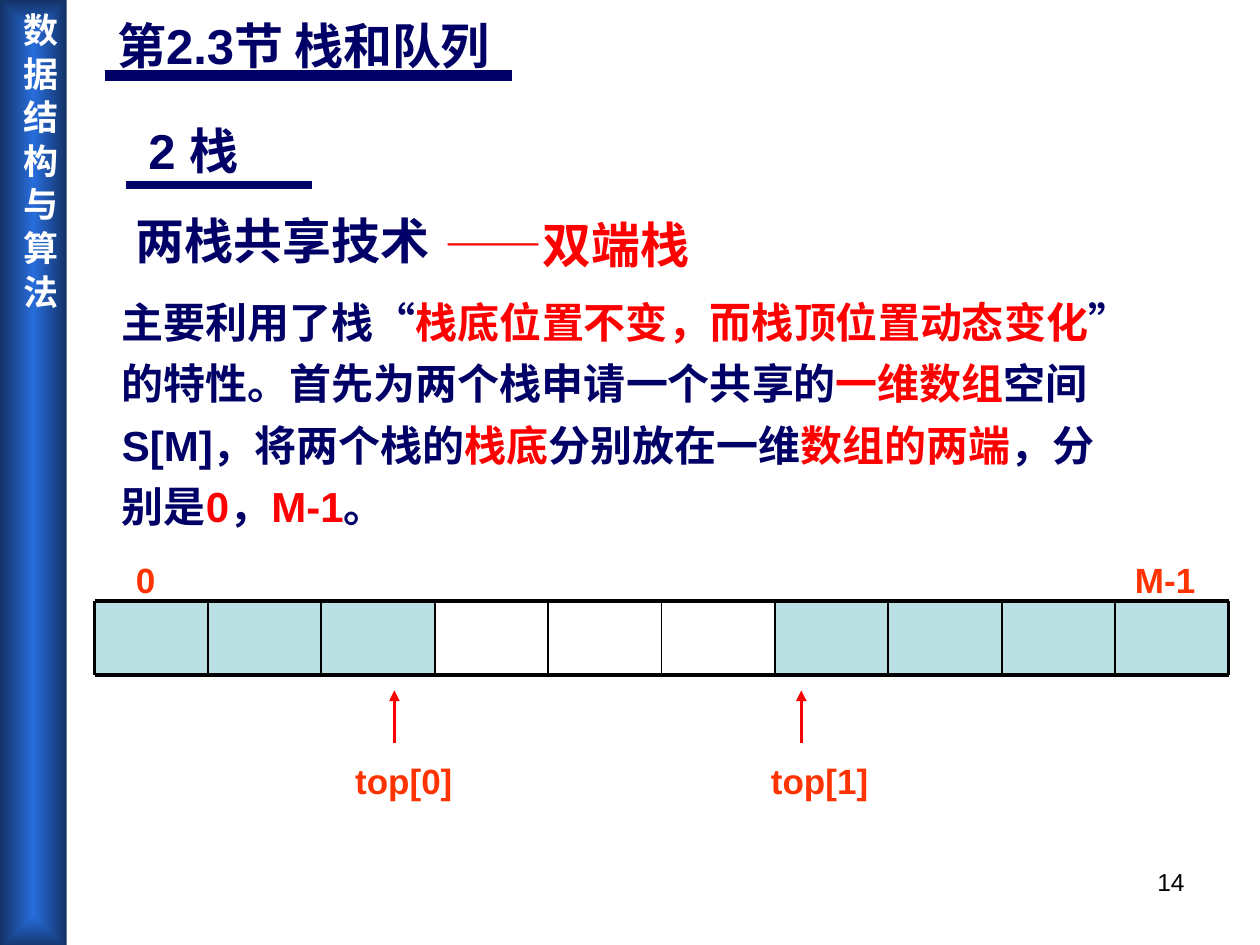
import lxml.etree
import pptx
import pptx.dml.color
import pptx.enum.shapes
import pptx.enum.text
import pptx.oxml
import pptx.oxml.ns
import pptx.util

Inches = pptx.util.Inches
Pt = pptx.util.Pt
RGBColor = pptx.dml.color.RGBColor
PP_ALIGN = pptx.enum.text.PP_ALIGN
MSO_ANCHOR = pptx.enum.text.MSO_ANCHOR
RECTANGLE = pptx.enum.shapes.MSO_SHAPE.RECTANGLE
STRAIGHT = pptx.enum.shapes.MSO_CONNECTOR.STRAIGHT
qn = pptx.oxml.ns.qn

NAVY = RGBColor(0x00, 0x00, 0x66)
RED = RGBColor(0xFF, 0x00, 0x00)
ORANGE = RGBColor(0xFF, 0x33, 0x00)
CELL_BLUE = RGBColor(0xBB, 0xE0, 0xE3)
BAR_CENTER = RGBColor(0x28, 0x6D, 0xDC)
BAR_EDGE = RGBColor(0x13, 0x32, 0x66)
BLACK = RGBColor(0x00, 0x00, 0x00)
WHITE = RGBColor(0xFF, 0xFF, 0xFF)

BODY_LINES = [
    [("主要利用了栈“", NAVY), ("栈底位置不变，而栈顶位置动态变化", RED), ("”", NAVY)],
    [("的特性。首先为两个栈申请一个共享的", NAVY), ("一维数组", RED), ("空间", NAVY)],
    [("S[M]，将两个栈的", NAVY), ("栈底", RED), ("分别放在一维", NAVY),
     ("数组的两端", RED), ("，分", NAVY)],
    [("别是", NAVY), ("0", RED), ("，", NAVY), ("M-1", RED), ("。", NAVY)],
]


def style(para, size, color=None, bold=True, name="Arial"):
    para.font.size = Pt(size)
    para.font.bold = bold
    para.font.name = name
    if color is not None:
        para.font.color.rgb = color


def add_label(shapes, box, text, size, color, bold=True, before=0):
    label = shapes.add_textbox(*map(Inches, box))
    label.text_frame.word_wrap = True
    para = label.text_frame.paragraphs[0]
    para.text = text
    para.space_before = Pt(before)
    style(para, size, color, bold)
    return para


def add_line(shapes, start, end, color, width, arrow=False):
    line = shapes.add_connector(STRAIGHT, *map(Inches, start + end))
    line.line.color.rgb = color
    line.line.width = Pt(width)
    if arrow:
        lxml.etree.SubElement(line.line._get_or_add_ln(), qn("a:tailEnd"), type="triangle")
    lxml.etree.SubElement(line._element.spPr, qn("a:effectLst"))


def place_title(page, box):
    left, top, width, height = box
    title = page.shapes.title
    title.left, title.top, title.width, title.height = map(Inches, box)
    frame = title.text_frame
    frame.text = "第2.3节 栈和队列"
    frame.vertical_anchor = MSO_ANCHOR.TOP
    frame.auto_size = pptx.enum.text.MSO_AUTO_SIZE.NONE
    frame.paragraphs[0].alignment = PP_ALIGN.LEFT
    style(frame.paragraphs[0], 28, NAVY)
    add_line(page.shapes, (left, top + 0.53), (left + 3.23, top + 0.53), NAVY, 6)


def place_headings(page, box):
    left, top, width, height = box
    add_label(page.shapes, (left + 0.1, top, 1.32, 0.57), "2 栈", 28, NAVY)
    add_line(page.shapes, (left + 0.02, top + 0.56), (left + 1.5, top + 0.56), NAVY, 4.25)
    add_label(page.shapes, (left, top + 0.71, 3.45, 0.57), "两栈共享技术", 28, NAVY)
    add_label(page.shapes, (left + 2.45, top + 0.74, 2.91, 0.57), "——双端栈", 28, RED)


def place_body(page, box):
    frame = page.shapes.add_textbox(*map(Inches, box)).text_frame
    frame.word_wrap = True
    for index, pieces in enumerate(BODY_LINES):
        para = frame.add_paragraph() if index else frame.paragraphs[0]
        para.line_spacing = 0.7
        para.space_before = Pt(15)
        style(para, 24)
        for text, color in pieces:
            span = para.add_run()
            span.text = text
            span.font.color.rgb = color


def place_array(page, box, count=10, empty=(3, 4, 5)):
    left, top, width, height = box
    right, bottom = left + width, top + height
    step = width / count
    shapes = page.shapes.add_group_shape().shapes
    for index in range(count):
        if index not in empty:
            cell = shapes.add_shape(RECTANGLE, Inches(left + index * step), Inches(top),
                                    Inches(step), Inches(height))
            cell.shadow.inherit = False
            cell.fill.solid()
            cell.fill.fore_color.rgb = CELL_BLUE
            cell.line.fill.background()
    for y in (top, bottom):
        add_line(shapes, (left, y), (right, y), BLACK, 2.25)
    for index in range(count + 1):
        x = left + index * step
        add_line(shapes, (x, top), (x, bottom), BLACK, 2.25 if index in (0, count) else 1)
    for x, label_width, text in ((left + 0.23, 0.47, "0"), (right - 0.84, 0.73, "M-1")):
        add_label(shapes, (x, top - 0.39, label_width, 0.44), text, 20, ORANGE, before=12.5)


def place_pointer(page, box, text, arrow_x):
    left, top, width, height = box
    add_line(page.shapes, (arrow_x, top + 0.42), (arrow_x, top), RED, 2, arrow=True)
    add_label(page.shapes, (left, top + 0.5, width, 0.44), text, 20, ORANGE, before=12.5)


def place_sidebar(page, box):
    bar = page.shapes.add_shape(RECTANGLE, *map(Inches, box))
    bar.shadow.inherit = False
    bar.line.fill.background()
    bar.fill.gradient()
    for stop, color in zip(bar.fill.gradient_stops, (BAR_CENTER, BAR_EDGE)):
        stop.color.rgb = color
    gradient = bar._element.spPr.find(qn("a:gradFill"))
    gradient.remove(gradient.find(qn("a:lin")))
    shade = lxml.etree.SubElement(gradient, qn("a:path"), path="rect")
    lxml.etree.SubElement(shade, qn("a:fillToRect"), l="50000", t="50000", r="50000", b="50000")
    frame = bar.text_frame
    frame.margin_left = frame.margin_right = Inches(0.05)
    frame.margin_top = frame.margin_bottom = Inches(0.1)
    frame.vertical_anchor = MSO_ANCHOR.TOP
    frame._txBody.bodyPr.set("vert", "eaVert")
    para = frame.paragraphs[0]
    para.text = "数 据 结 构 与 算 法"
    para.alignment = PP_ALIGN.CENTER
    style(para, 20, WHITE, name="Noto Sans CJK SC")


def main():
    deck = pptx.Presentation()
    deck.slide_width, deck.slide_height = Inches(10), Inches(7.5)
    page = deck.slides.add_slide(deck.slide_layouts[5])
    number = add_label(page.shapes, (7.17, 6.83, 2.33, 0.52), "14", 14, BLACK, bold=False)
    number.alignment = PP_ALIGN.RIGHT
    place_title(page, (0.83, 0.07, 3.39, 1.04))
    place_headings(page, (0.98, 0.91, 5.36, 1.31))
    place_body(page, (0.87, 2.41, 8.2, 1.85))
    place_array(page, (0.75, 4.77, 9, 0.59))
    place_pointer(page, (2.72, 5.48, 1.02, 0.94), "top[0]", 3.13)
    place_pointer(page, (6.02, 5.48, 1.02, 0.94), "top[1]", 6.36)
    place_sidebar(page, (0, 0, 0.53, 7.53))
    deck.save("out.pptx")


if __name__ == "__main__":
    main()
